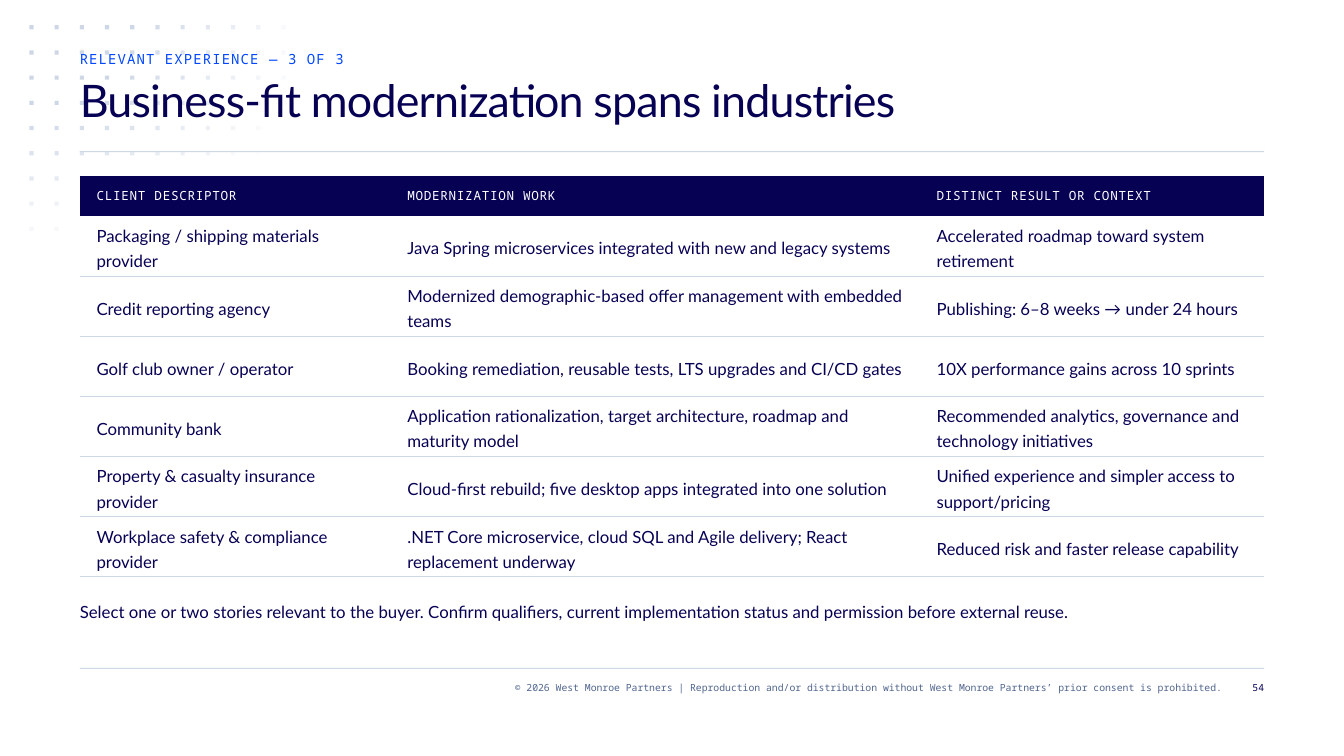
"""Build the slide on business-fit modernization experience across industries."""
import math

import lxml.etree
import pptx
import pptx.dml.color
import pptx.enum.shapes
import pptx.enum.text
import pptx.oxml.ns
import pptx.util

NAVY = pptx.dml.color.RGBColor(0x07, 0x01, 0x54)
BLUE = pptx.dml.color.RGBColor(0x00, 0x47, 0xFF)
SLATE = pptx.dml.color.RGBColor(0x50, 0x65, 0x8E)
MIST = pptx.dml.color.RGBColor(0xCE, 0xD7, 0xE6)
WHITE = pptx.dml.color.RGBColor(0xFF, 0xFF, 0xFF)
SANS, MONO = "Lato", "Noto Sans Mono"
qn = pptx.oxml.ns.qn

UNIT = pptx.util.Inches(1) / 24
LEFT, WIDTH = 19, 282
DOT_STEP = 6
FADE_COLUMNS, FADE_ROWS, FADE_STRENGTH = 11.08, 9.07, 153

HEADINGS = ["CLIENT DESCRIPTOR", "MODERNIZATION WORK", "DISTINCT RESULT OR CONTEXT"]
STORIES = [
    ["Packaging / shipping materials provider",
     "Java Spring microservices integrated with new and legacy systems",
     "Accelerated roadmap toward system retirement"],
    ["Credit reporting agency",
     "Modernized demographic-based offer management with embedded teams",
     "Publishing: 6–8 weeks → under 24 hours"],
    ["Golf club owner / operator",
     "Booking remediation, reusable tests, LTS upgrades and CI/CD gates",
     "10X performance gains across 10 sprints"],
    ["Community bank",
     "Application rationalization, target architecture, roadmap and maturity model",
     "Recommended analytics, governance and technology initiatives"],
    ["Property & casualty insurance provider",
     "Cloud-first rebuild; five desktop apps integrated into one solution",
     "Unified experience and simpler access to support/pricing"],
    ["Workplace safety & compliance provider",
     ".NET Core microservice, cloud SQL and Agile delivery; React replacement underway",
     "Reduced risk and faster release capability"],
]


def units(*counts):
    return [pptx.util.Emu(round(count * UNIT)) for count in counts]


def write(frame, text, font, size, color, leading, tracking=0, align="LEFT"):
    frame.word_wrap = True
    para = frame.paragraphs[0]
    para.alignment = pptx.enum.text.PP_ALIGN[align]
    para.line_spacing = pptx.util.Pt(leading)
    span = para.add_run()
    span.text = text
    span.font.name = font
    span.font.size = pptx.util.Pt(size)
    span.font.color.rgb = color
    if tracking:
        span.font._element.set("spc", str(round(tracking * 100)))


deck = pptx.Presentation()
deck.slide_width, deck.slide_height = units(320, 180)
slide = deck.slides.add_slide(deck.slide_layouts[5])
shapes = slide.shapes

blocks = [(LEFT, top, WIDTH, 0.25, 100) for top in (159, 36)]
for column in range(11):
    for row in range(9):
        distance = math.hypot(column / FADE_COLUMNS, row / FADE_ROWS)
        opacity = min(100, round(FADE_STRENGTH * (1 - distance)))
        if opacity >= 2:
            blocks.append((7 + column * DOT_STEP, 6 + row * DOT_STEP, 1, 1, opacity))

for *place, opacity in blocks:
    block = shapes.add_shape(pptx.enum.shapes.MSO_SHAPE.RECTANGLE, *units(*place))
    block.shadow.inherit = False
    block.line.fill.background()
    block.fill.solid()
    block.fill.fore_color.rgb = MIST
    if opacity < 100:
        tint = block._element.spPr.find(".//" + qn("a:srgbClr"))
        lxml.etree.SubElement(tint, qn("a:alpha"), val=str(opacity * 1000))

title = shapes.title
title._element.getparent().append(title._element)
TEXTS = [
    (title, (LEFT, 18, WIDTH, 18), "Business-fit modernization spans industries",
     SANS, 32, NAVY, 36, -0.6, "LEFT"),
    (None, (LEFT, 12, WIDTH, 4), "RELEVANT EXPERIENCE — 3 OF 3",
     MONO, 10, BLUE, 12, 0.8, "LEFT"),
    (None, (LEFT, 142, WIDTH, 12),
     "Select one or two stories relevant to the buyer. Confirm qualifiers, current "
     "implementation status and permission before external reuse.",
     SANS, 12, NAVY, 18, 0, "LEFT"),
    (None, (57, 162, 234, 6),
     "© 2026 West Monroe Partners | Reproduction and/or distribution without "
     "West Monroe Partners’ prior consent is prohibited.",
     MONO, 7, SLATE, 9, 0, "RIGHT"),
    (None, (293, 162, 8, 6), "54", MONO, 7, NAVY, 9, 0, "RIGHT"),
]
for box, place, *style in TEXTS:
    box = box or shapes.add_textbox(0, 0, 0, 0)
    box.left, box.top, box.width, box.height = units(*place)
    frame = box.text_frame
    frame.auto_size = pptx.enum.text.MSO_AUTO_SIZE.NONE
    frame.vertical_anchor = pptx.enum.text.MSO_ANCHOR.TOP
    frame.margin_left = frame.margin_right = frame.margin_top = frame.margin_bottom = 0
    write(frame, *style)

heights = [9.4] + [14.32] * len(STORIES)
table = shapes.add_table(len(heights), 3, *units(LEFT, 42, WIDTH, sum(heights))).table
table.first_row = table.horz_banding = False
table._tbl.tblPr.find(qn("a:tableStyleId")).text = "{2D5ABB26-0587-4C30-8999-92F81FD0307C}"
for column, width in zip(table.columns, units(74, 126, 82)):
    column.width = width
for row, height in zip(table.rows, units(*heights)):
    row.height = height

for row_number, words in enumerate([HEADINGS] + STORIES):
    for cell, text in zip(table.rows[row_number].cells, words):
        cell.margin_left, cell.margin_right, cell.margin_top, cell.margin_bottom = units(4, 4, 0, 0)
        cell.vertical_anchor = pptx.enum.text.MSO_ANCHOR.MIDDLE
        cell.fill.solid()
        if row_number == 0:
            cell.fill.fore_color.rgb = NAVY
            write(cell.text_frame, text, MONO, 9, WHITE, 12, 0.5)
            continue
        cell.fill.fore_color.rgb = WHITE
        write(cell.text_frame, text, SANS, 12, NAVY, 18)
        border = lxml.etree.Element(qn("a:lnB"), w=str(pptx.util.Pt(0.75)))
        ink = lxml.etree.SubElement(border, qn("a:solidFill"))
        lxml.etree.SubElement(ink, qn("a:srgbClr"), val=str(MIST))
        cell._tc.get_or_add_tcPr().insert(0, border)

deck.save("out.pptx")
